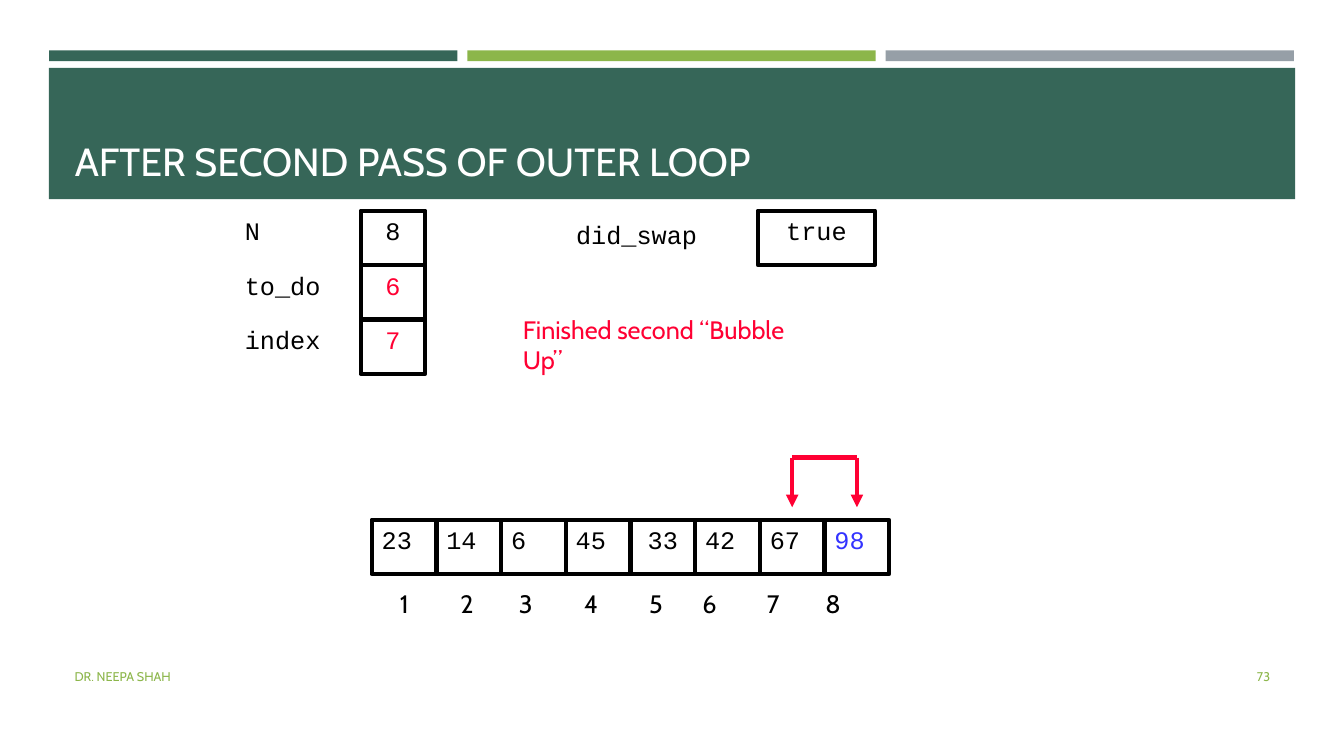
from pptx import Presentation
from pptx.dml.color import RGBColor
from pptx.enum.shapes import MSO_CONNECTOR as Line, MSO_SHAPE as Shape
from pptx.enum.text import MSO_ANCHOR as Anchor, PP_ALIGN as Align
from pptx.oxml.ns import qn
from pptx.util import Cm, Pt
from lxml.etree import SubElement

INK = {
    "pine": "366658", "lime": "8CB64A", "gray": "969FA7", "white": "FFFFFF",
    "black": "000000", "red": "FF0033", "blue": "3333FF",
}
SANS, MONO = "Cabin", "Courier New"
CELL_W, CELL_H = 1.63, 1.37
ROW_X, ROW_Y = 9.37, 13.1
VARS_Y = 5.31
TABS = [1.52, 3, 4.64, 6.28, 7.62, 9.25, 10.72]


def color(name):
    """Return the named colour."""
    return RGBColor.from_string(INK[name])


def place(shape, x, y, w, h):
    """Set a shape's position and size in centimetres."""
    shape.left, shape.top, shape.width, shape.height = Cm(x), Cm(y), Cm(w), Cm(h)


def write(shape, text, ink="black", face=MONO, size=18, align=Align.LEFT, anchor=Anchor.TOP):
    """Put one styled paragraph in a shape."""
    frame = shape.text_frame
    frame.text = text
    frame.word_wrap = True
    frame.vertical_anchor = anchor
    para = frame.paragraphs[0]
    para.alignment = align
    for run in para.runs:
        run.font.name = face
        run.font.size = Pt(size)
        run.font.color.rgb = color(ink)


def label(slide, text, x, y, w, **style):
    """Add a text box and return it."""
    box = slide.shapes.add_textbox(Cm(x), Cm(y), Cm(w), Cm(1.02))
    write(box, text, **style)
    return box


def bar(slide, x, y, w, h, ink):
    """Add a plain coloured band behind the title."""
    band = slide.shapes.add_shape(Shape.RECTANGLE, Cm(x), Cm(y), Cm(w), Cm(h))
    band.shadow.inherit = False
    band.fill.solid()
    band.fill.fore_color.rgb = color(ink)
    band.line.fill.background()
    slide.shapes.title.element.addprevious(band.element)


def cell(slide, text, x, y, w=CELL_W, **style):
    """Add an outlined box holding a value."""
    box = slide.shapes.add_shape(Shape.RECTANGLE, Cm(x), Cm(y), Cm(w), Cm(CELL_H))
    box.shadow.inherit = False
    box.fill.background()
    box.line.color.rgb = color("black")
    box.line.width = Pt(3)
    write(box, text, **style)


def stroke(group, start, end, arrow=False):
    """Add a red line to a group, with an arrowhead if asked."""
    points = [Cm(v) for v in (*start, *end)]
    line = group.shapes.add_connector(Line.STRAIGHT, *points)
    line.line.color.rgb = color("red")
    line.line.width = Pt(3)
    if arrow:
        SubElement(line.line._get_or_add_ln(), qn("a:tailEnd"), type="triangle")
    SubElement(line.element.spPr, qn("a:effectLst"))


def bracket(slide, left, right, top, low):
    """Add the bracket that points at the compared pair."""
    group = slide.shapes.add_group_shape()
    for x in (left, right):
        stroke(group, (x, top), (x, low), arrow=True)
    stroke(group, (left, top), (right, top))


def header(slide):
    """Add the bands and the title."""
    for i, ink in enumerate(("pine", "lime", "gray")):
        bar(slide, 1.24 + i * 10.54, 1.27, 10.29, 0.27, ink)
    bar(slide, 1.23, 1.71, 31.41, 3.31, "pine")
    title = slide.shapes.title
    place(title, 1.63, 1.96, 30.63, 2.82)
    write(title, "AFTER SECOND PASS OF OUTER LOOP", ink="white",
          face=SANS, size=28, anchor=Anchor.BOTTOM)


def state(slide):
    """Add the loop variables and the message."""
    rows = [("N", "8", "black"), ("to_do", "6", "red"), ("index", "7", "red")]
    for i, (name, value, ink) in enumerate(rows):
        y = VARS_Y + i * CELL_H
        label(slide, name, 5.92, y, 2.44)
        cell(slide, value, 9.09, y, ink=ink, align=Align.CENTER)
    label(slide, "did_swap", 14.27, 5.41, 5.1)
    cell(slide, "true", 19.1, VARS_Y, 2.95, align=Align.CENTER)
    label(slide, "Finished second “Bubble Up”", 12.93, 7.8, 8, ink="red", face=SANS)


def array(slide):
    """Add the array, its indexes and the bracket."""
    values = ["23", "14", "6", "45", "33", "42", "67", "98"]
    for i, value in enumerate(values):
        cell(slide, value, ROW_X + i * CELL_W, ROW_Y,
             ink="blue" if value == "98" else "black",
             align=Align.CENTER if value == "33" else Align.LEFT)
    marks = "\t".join(str(i + 1) for i in range(len(values)))
    box = label(slide, marks, 9.83, 14.71, 13.59, face=SANS)
    stops = SubElement(box.text_frame.paragraphs[0]._p.get_or_add_pPr(), qn("a:tabLst"))
    for stop in TABS:
        SubElement(stops, qn("a:tab"), pos=str(Cm(stop)), algn="l")
    left, right = (ROW_X + (i + 0.5) * CELL_W for i in (6, 7))
    bracket(slide, left, right, 11.53, 12.78)


def main():
    """Build and save the slide."""
    deck = Presentation()
    deck.slide_width, deck.slide_height = Cm(33.87), Cm(19.05)
    slide = deck.slides.add_slide(deck.slide_layouts[5])
    header(slide)
    state(slide)
    array(slide)
    foot = dict(ink="lime", face=SANS, size=9, anchor=Anchor.MIDDLE)
    label(slide, "DR. NEEPA SHAH", 1.63, 16.54, 19.2, **foot)
    label(slide, "73", 29.34, 16.54, 2.92, align=Align.RIGHT, **foot)
    deck.save("out.pptx")


if __name__ == "__main__":
    main()
